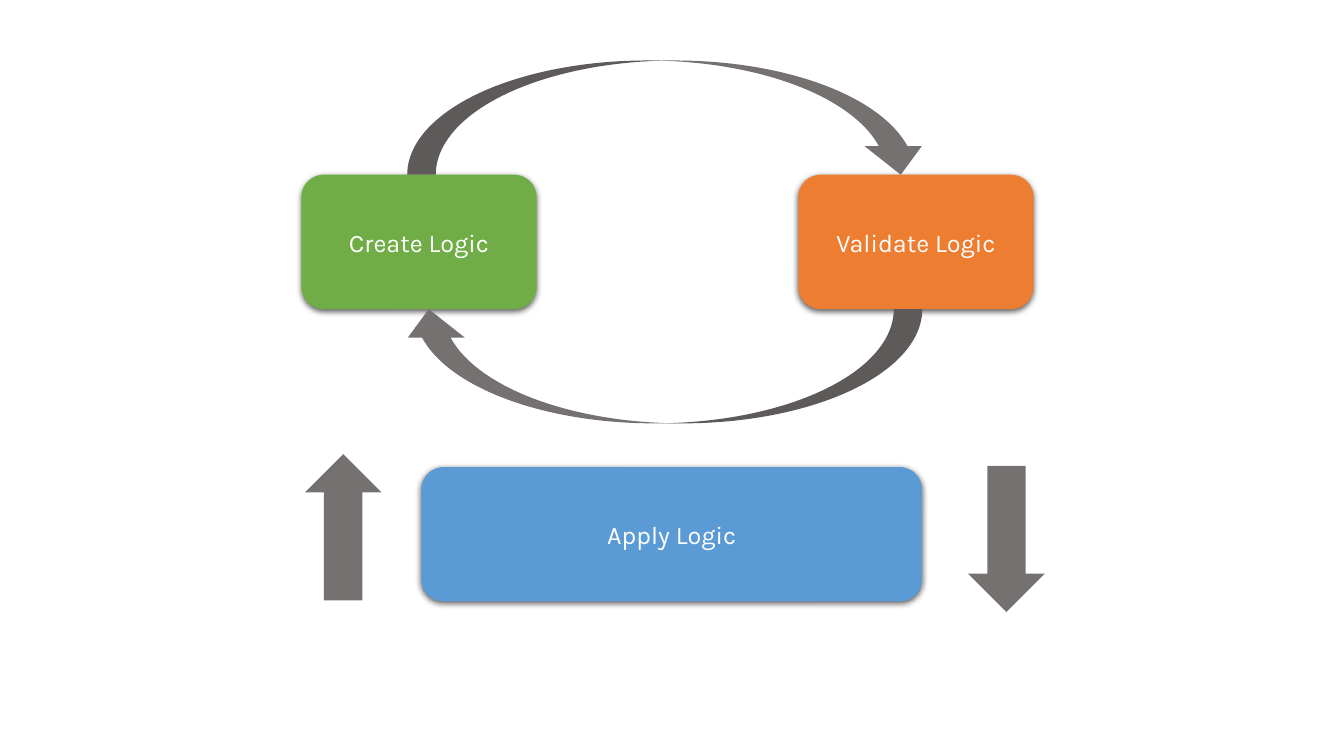
from lxml import etree
from pptx import Presentation, util as u
from pptx.dml.color import RGBColor
from pptx.enum import shapes as sh, text as tx
from pptx.oxml import ns

BLUE = RGBColor(0x5B, 0x9B, 0xD5)
GREEN = RGBColor(0x70, 0xAD, 0x47)
ORANGE = RGBColor(0xED, 0x7D, 0x31)
GRAY = RGBColor(0x76, 0x71, 0x71)
WHITE = RGBColor(0xFF, 0xFF, 0xFF)

COLS, ROWS = 40, 22.5
STEP_W, STEP_H = 7, 4
STEP_TOP = 5.2
LOOP_W, LOOP_H = 15.54, 3.4


def write(shape, words, size=18, color=WHITE, font="Karla"):
    frame = shape.text_frame
    frame.word_wrap = True
    frame.vertical_anchor = tx.MSO_ANCHOR.MIDDLE
    para = frame.paragraphs[0]
    para.alignment = tx.PP_ALIGN.CENTER
    run = para.add_run()
    run.text = words
    run.font.size = u.Pt(size)
    run.font.name = font
    run.font.color.rgb = color


def shade(shape):
    """Give the shape a soft black shadow just below it."""
    effects = shape._element.spPr.find(ns.qn("a:effectLst"))
    outer = etree.SubElement(
        effects, ns.qn("a:outerShdw"), blurRad=str(u.Pt(4.5)),
        dist=str(u.Pt(1.5)), dir="5400000", algn="ctr", rotWithShape="0")
    black = etree.SubElement(outer, ns.qn("a:srgbClr"), val="000000")
    etree.SubElement(black, ns.qn("a:alpha"), val="63000")


class Board:
    """A slide on a grid of COLS by ROWS cells; lengths are in cells."""

    def __init__(self, deck):
        self.slide = deck.slides.add_slide(deck.slide_layouts[6])
        self.cell_w = deck.slide_width / COLS
        self.cell_h = deck.slide_height / ROWS
        self.home = self.slide.shapes

    def group(self):
        return self.home.add_group_shape().shapes

    def draw(self, kind, left, top, width, height, color, home=None):
        shape = (home or self.home).add_shape(
            kind, round(left * self.cell_w), round(top * self.cell_h),
            round(width * self.cell_w), round(height * self.cell_h))
        shape.shadow.inherit = False
        shape.fill.solid()
        shape.fill.fore_color.rgb = color
        shape.line.fill.background()
        return shape

    def step(self, words, left, top, width, color, home=None):
        box = self.draw(sh.MSO_SHAPE.ROUNDED_RECTANGLE, left, top,
                        width, STEP_H, color, home)
        shade(box)
        write(box, words)

    def loop(self, left, top, turn, home):
        arrow = self.draw(sh.MSO_SHAPE.CURVED_DOWN_ARROW, left, top,
                          LOOP_W, LOOP_H, GRAY, home)
        arrow.rotation = turn

    def arrow(self, left, top, turn):
        arrow = self.draw(sh.MSO_SHAPE.RIGHT_ARROW, left, top,
                          4.35, 2.28, GRAY)
        arrow.rotation = turn


def main():
    deck = Presentation()
    deck.slide_width, deck.slide_height = u.Inches(13.333), u.Inches(7.5)
    board = Board(deck)

    board.step("Apply Logic", 12.54, 13.9, 14.9, BLUE)

    cycle = board.group()
    board.step("Create Logic", 8.97, STEP_TOP, STEP_W, GREEN, cycle)
    board.step("Validate Logic", 23.76, STEP_TOP, STEP_W, ORANGE, cycle)
    board.loop(12.12, STEP_TOP - LOOP_H, 0, cycle)
    board.loop(11.91, STEP_TOP + STEP_H, 180, cycle)

    board.arrow(27.78, 14.9, 90)
    board.arrow(8.04, 14.55, 270)
    deck.save("out.pptx")


if __name__ == "__main__":
    main()
